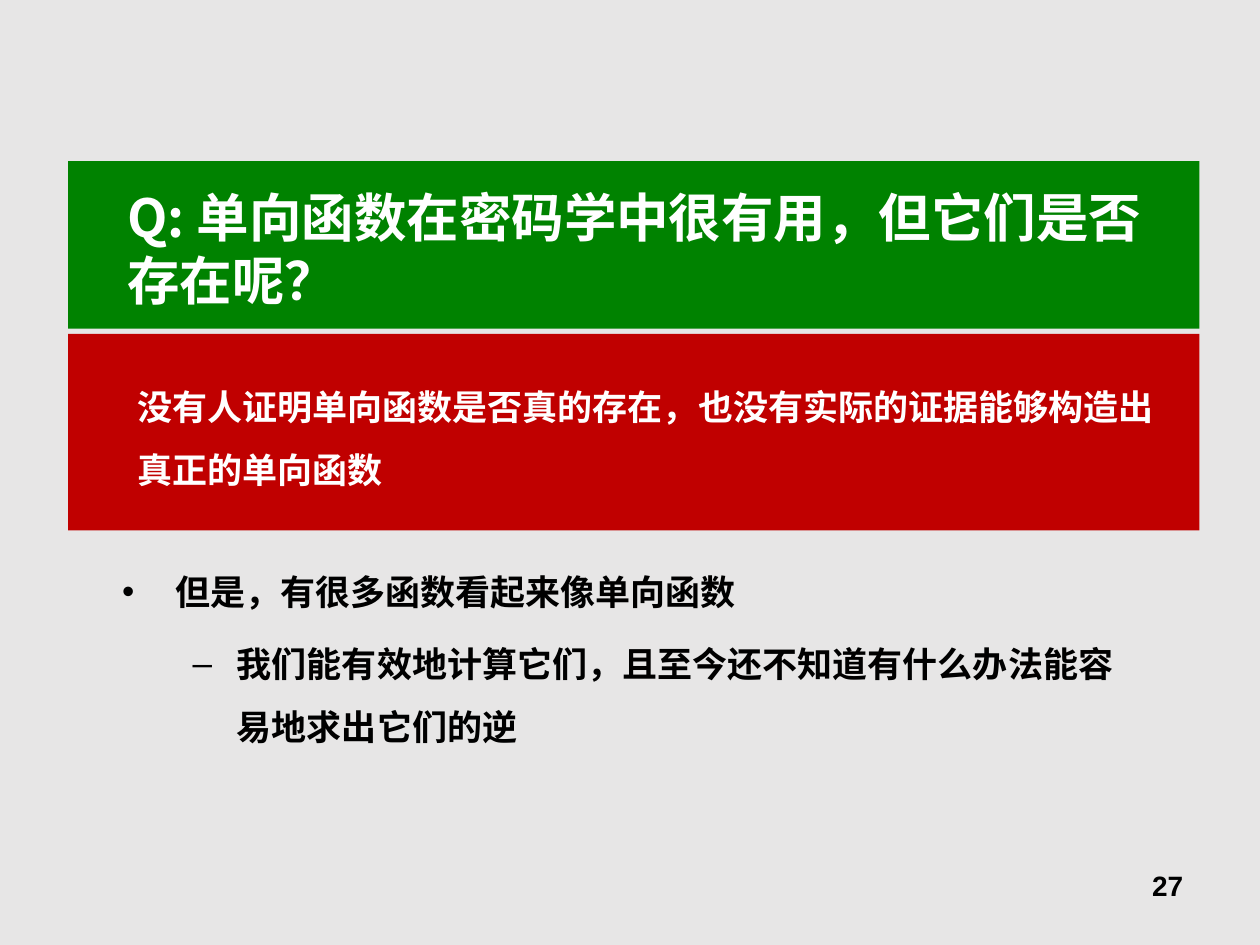
from dataclasses import dataclass

import pptx
import pptx.dml.color
import pptx.enum.shapes
import pptx.enum.text
import pptx.oxml.ns
import pptx.util
from lxml import etree
from pptx.util import Inches

RGB = pptx.dml.color.RGBColor.from_string
ALIGN = pptx.enum.text.PP_ALIGN


@dataclass(frozen=True)
class Theme:
    background: str = "E7E6E6"
    question: str = "008200"
    answer: str = "C00000"
    light: str = "FFFFFF"
    dark: str = "000000"
    cjk: str = "Noto Sans CJK SC"
    latin: str = "Arial"
    title_size: int = 30
    body_size: int = 20
    number_size: int = 16


THEME = Theme()


@dataclass(frozen=True)
class Box:
    left: float
    top: float
    width: float
    height: float

    def lengths(self) -> tuple:
        return tuple(Inches(v) for v in (self.left, self.top, self.width, self.height))


@dataclass(frozen=True)
class Bullet:
    char: str
    text: str
    level: int
    margin: float
    hanging: float
    before: int


BULLETS = (
    Bullet("•", "但是，有很多函数看起来像单向函数", 0, 0.42, 0.42, 0),
    Bullet("–", "我们能有效地计算它们，且至今还不知道有什么办法能容易地求出它们的逆",
           1, 0.91, 0.35, 5),
)


def add_band(s, box: Box, color: str) -> None:
    sp = s.shapes.add_shape(pptx.enum.shapes.MSO_SHAPE.RECTANGLE, *box.lengths())
    sp.shadow.inherit = False
    sp.fill.solid()
    sp.fill.fore_color.rgb = RGB(color)
    sp.line.fill.background()


def format_frame(tf, side: float, edge: float) -> None:
    tf.word_wrap = True
    tf.auto_size = pptx.enum.text.MSO_AUTO_SIZE.NONE
    tf.vertical_anchor = pptx.enum.text.MSO_ANCHOR.TOP
    tf.margin_left = tf.margin_right = Inches(side)
    tf.margin_top = tf.margin_bottom = Inches(edge)


def add_text(s, box: Box, side: float, edge: float):
    tf = s.shapes.add_textbox(*box.lengths()).text_frame
    format_frame(tf, side, edge)
    return tf


def add_run(p, text: str, size: int, color: str, font: str = THEME.cjk) -> None:
    r = p.add_run()
    r.text = text
    r.font.size = pptx.util.Pt(size)
    r.font.bold = True
    r.font.color.rgb = RGB(color)
    r.font.name = font
    # East Asian typeface sits directly after the Latin one
    latin = r.font._element.find(pptx.oxml.ns.qn("a:latin"))
    latin.addnext(etree.Element(pptx.oxml.ns.qn("a:ea"), typeface=font))


def set_bullet(p, bullet: Bullet) -> None:
    qn = pptx.oxml.ns.qn
    props = p._p.get_or_add_pPr()
    props.set("marL", str(Inches(bullet.margin)))
    props.set("indent", str(-Inches(bullet.hanging)))
    color = etree.SubElement(props, qn("a:buClr"))
    etree.SubElement(color, qn("a:srgbClr"), val=THEME.dark)
    etree.SubElement(props, qn("a:buFont"), typeface=THEME.latin)
    etree.SubElement(props, qn("a:buChar"), char=bullet.char)


def main() -> None:
    prs = pptx.Presentation()
    prs.slide_width, prs.slide_height = Inches(10), Inches(7.5)
    s = prs.slides.add_slide(prs.slide_layouts[5])
    s.background.fill.solid()
    s.background.fill.fore_color.rgb = RGB(THEME.background)

    # Question band, with the title in front of it
    add_band(s, Box(0.54, 1.28, 8.98, 1.33), THEME.question)
    title = s.shapes.title
    title.left, title.top, title.width, title.height = Box(0.91, 1.42, 8.36, 1.1).lengths()
    title.element.getparent().append(title.element)
    format_frame(title.text_frame, 0.1, 0.05)
    p = title.text_frame.paragraphs[0]
    p.alignment = ALIGN.LEFT
    add_run(p, "Q: 单向函数在密码学中很有用，但它们是否存在呢？", THEME.title_size, THEME.light)

    # Answer band
    add_band(s, Box(0.54, 2.65, 8.98, 1.56), THEME.answer)
    p = add_text(s, Box(0.99, 2.84, 8.36, 1.1), 0.1, 0.05).paragraphs[0]
    p.line_spacing = 1.5
    add_run(p, "没有人证明单向函数是否真的存在，也没有实际的证据能够构造出真正的单向函数",
            THEME.body_size, THEME.light)

    # Bulleted remarks
    tf = add_text(s, Box(0.86, 4.3, 8.35, 1.88), 0.11, 0.06)
    for i, bullet in enumerate(BULLETS):
        p = tf.add_paragraph() if i else tf.paragraphs[0]
        p.level = bullet.level
        set_bullet(p, bullet)
        p.line_spacing = 1.5
        p.space_before = pptx.util.Pt(bullet.before)
        add_run(p, bullet.text, THEME.body_size, THEME.dark)

    # Page number
    p = add_text(s, Box(7.17, 6.83, 2.33, 0.52), 0.11, 0.06).paragraphs[0]
    p.alignment = ALIGN.RIGHT
    add_run(p, "27", THEME.number_size, THEME.dark, THEME.latin)

    prs.save("out.pptx")


if __name__ == "__main__":
    main()
